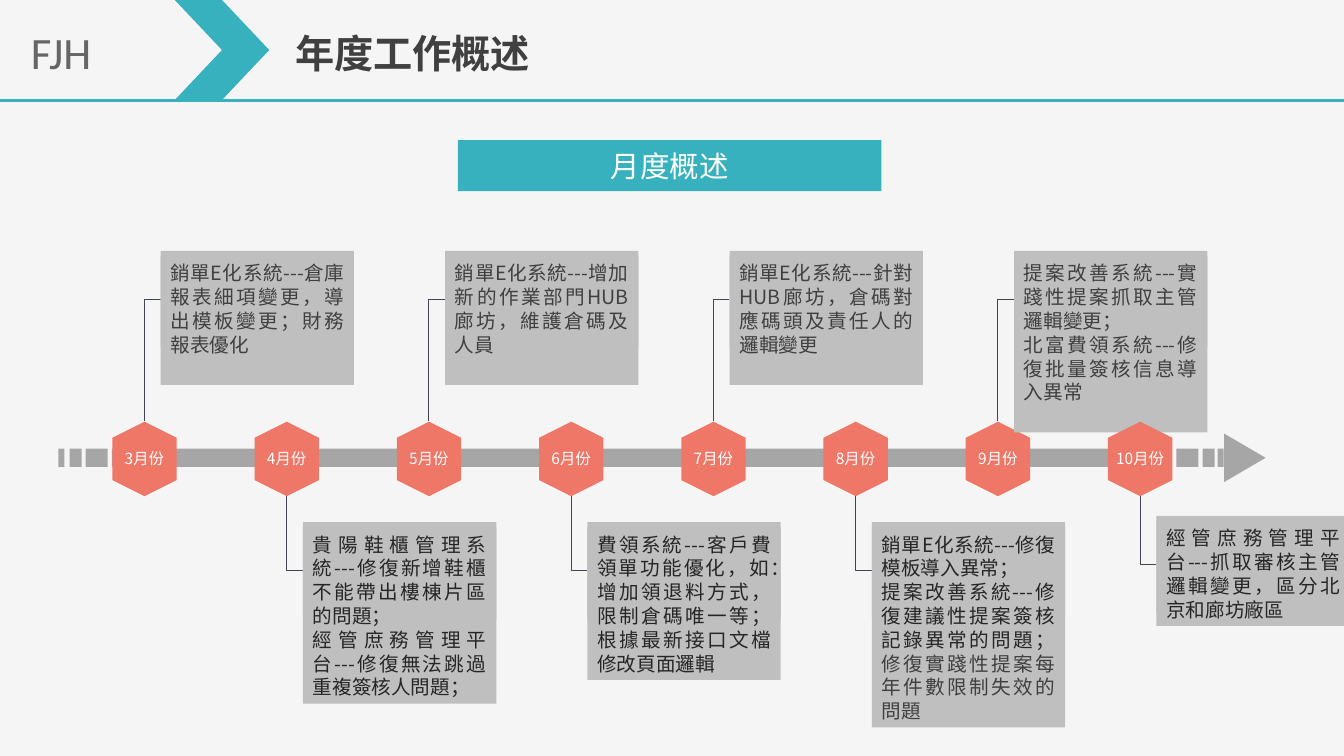
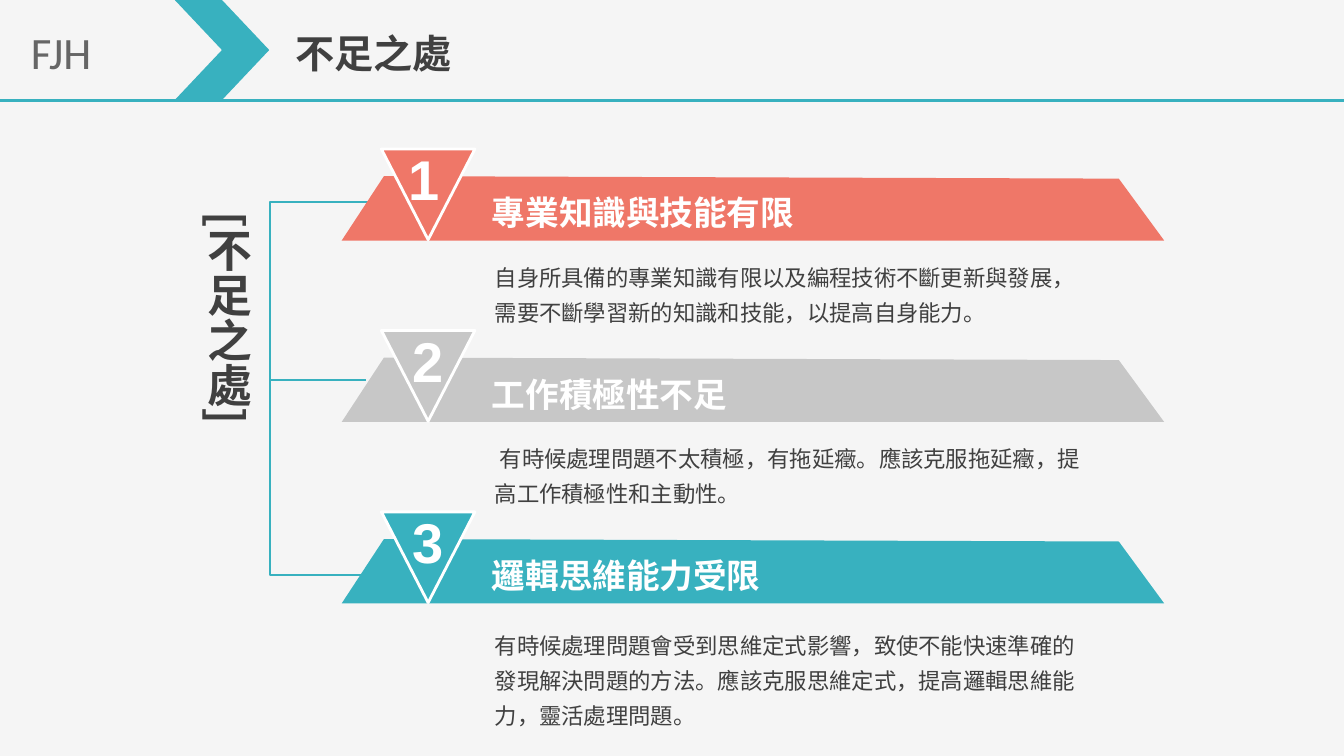
from dataclasses import dataclass

from pptx import Presentation
from pptx.dml.color import RGBColor
from pptx.enum.shapes import MSO_CONNECTOR as Connector, MSO_SHAPE as Shape
from pptx.enum.text import MSO_ANCHOR as Anchor, PP_ALIGN as Align
from pptx.oxml.ns import qn
from pptx.oxml.xmlchemy import OxmlElement
from pptx.util import Pt

# Content
COMPANY = "FJH"
OVERVIEW_TITLE = "年度工作概述"
OVERVIEW_BANNER = "月度概述"
# Each month: label, box height in text lines, paragraphs as tuples of runs
MONTHS = [
    ("3月份", 5, [("銷單E化系統---倉庫報表細項變更，導出模板變更；財務報表優化",)]),
    ("4月份", 7, [("貴陽鞋櫃管理系統---修復新增鞋櫃不能帶出樓棟片區的問題；",),
                ("經管庶務管理平台---修復無法跳過重複簽核人問題；",)]),
    ("5月份", 5, [("銷單E化系統---增加新的作業部門HUB廊坊，維護倉碼及人員",)]),
    ("6月份", 6, [("費領系統---客戶費領單功能優化，如：增加領退料方式，限制倉碼唯一等；根據最新接口文檔修改頁面邏輯",)]),
    ("7月份", 5, [("銷單E化系統---針對HUB廊坊，倉碼對應碼頭及責任人的邏輯變更",)]),
    ("8月份", 8, [("銷單E化系統---修復模板導入異常；",),
                ("提案改善系統---修復建議性提案簽核記錄異常的問題；", "修復實踐性提案每年件數限制失效的問題")]),
    ("9月份", 7, [("提案改善系統---實踐性提案抓取主管邏輯變更；",),
                ("北富費領系統---修復批量簽核信息導入異常",)]),
    ("10月份", 4, [("經管庶務管理平台---抓取審核主管邏輯變更，區分北京和廊坊廠區",)]),
]
RAISED_MONTH = "10月份"
AXIS_PARTS = [(41.8, 4.3), (49.7, 8.6), (61.2, 15.8), (79.9, 756.7),
              (840.2, 15.8), (859, 8.6), (869.8, 4.3)]

SHORTCOMINGS_TITLE = "不足之處"
SHORTCOMINGS_LABEL = "[不足之處]"
# Each item: number, left of the number, heading, body, gap from bar to body
SHORTCOMINGS = [
    ("1", 284.4, "專業知識與技能有限",
     "自身所具備的專業知識有限以及編程技術不斷更新與發展，需要不斷學習新的知識和技能，以提高自身能力。", 53.3),
    ("2", 287.3, "工作積極性不足",
     " 有時候處理問題不太積極，有拖延癥。應該克服拖延癥，提高工作積極性和主動性。", 53.3),
    ("3", 287.3, "邏輯思維能力受限",
     "有時候處理問題會受到思維定式影響，致使不能快速準確的發現解決問題的方法。應該克服思維定式，提高邏輯思維能力，靈活處理問題。", 56.9),
]


# Theme
@dataclass(frozen=True)
class Style:
    size: float
    color: str
    bold: bool = False
    font: str = "Noto Sans CJK SC"
    line: float = 0  # exact line height in points, 0 for single spacing


class Theme:
    background = "F5F5F5"
    teal = "38B1BF"
    coral = "EF7768"
    silver = "C7C7C7"
    axis = "A6A6A6"
    card = "BFBFBF"
    link = "414455"
    white = "FFFFFF"
    text = "404040"
    company = Style(32, "666666", font="Calibri")
    title = Style(28, text, True, line=36)
    banner = Style(21, white, line=26)
    month = Style(11, white, line=13.5)
    upper_note = Style(14, text, line=17)
    lower_note = Style(14, "262626", line=17)
    side_label = Style(32, text, True, line=40)
    heading = Style(24, white, True, line=30)
    body = Style(16, text, line=25)
    number = Style(40, white, True, "Arial")


# Drawing helpers
def apply(target, formats):
    for name, value in formats.items():
        setattr(target, name, value)


def rgb(color):
    return RGBColor.from_string(color)


def paint(shape, fill=None, line=None, width=0):
    shape.shadow.inherit = False
    if fill:
        shape.fill.solid()
        shape.fill.fore_color.rgb = rgb(fill)
    else:
        shape.fill.background()
    if line:
        shape.line.color.rgb = rgb(line)
        shape.line.width = Pt(width)
    else:
        shape.line.fill.background()
    return shape


def add_preset(slide, kind, box, fill, line=None, width=0):
    shape = slide.shapes.add_shape(kind, *map(Pt, box))
    return paint(shape, fill, line, width)


def add_outline(slide, points, closed, **colors):
    first, *rest = [(Pt(x), Pt(y)) for x, y in points]
    builder = slide.shapes.build_freeform(*first)
    builder.add_line_segments(rest, close=closed)
    return paint(builder.convert_to_shape(), **colors)


def add_line(slide, start, end, color, width, kind=Connector.STRAIGHT):
    connector = slide.shapes.add_connector(kind, *map(Pt, start + end))
    connector.line.color.rgb = rgb(color)
    connector.line.width = Pt(width)
    properties = connector._element.spPr
    properties.append(OxmlElement("a:effectLst"))
    if kind == Connector.ELBOW:
        properties.find(qn("a:prstGeom")).set("prst", "bentConnector2")
    return connector


def write(shape, paragraphs, style, align=Align.LEFT, anchor=Anchor.TOP, wrap=True):
    frame = shape.text_frame
    apply(frame, {"word_wrap": wrap, "vertical_anchor": anchor})
    for index, runs in enumerate(paragraphs):
        paragraph = frame.add_paragraph() if index else frame.paragraphs[0]
        paragraph.alignment = align
        if style.line:
            paragraph.line_spacing = Pt(style.line)
        for position, text in enumerate(runs):
            run = paragraph.add_run()
            run.text = text
            apply(run.font, {"size": Pt(style.size), "bold": style.bold, "name": style.font})
            # A run after the first goes back to the common text colour
            run.font.color.rgb = rgb(Theme.text if position else style.color)
            east_asian = OxmlElement("a:ea")
            east_asian.set("typeface", style.font)
            run.font._element.find(qn("a:latin")).addnext(east_asian)


def add_text(slide, box, text, style, **options):
    shape = slide.shapes.add_textbox(*map(Pt, box))
    write(shape, [(text,)], style, **options)
    return shape


def add_slide(presentation, title):
    slide = presentation.slides.add_slide(presentation.slide_layouts[6])
    slide.background.fill.solid()
    slide.background.fill.fore_color.rgb = rgb(Theme.background)
    add_line(slide, (0, 71.5), (960, 71.5), Theme.teal, 2.25)
    add_preset(slide, Shape.CHEVRON, (124.8, 0, 67.5, 71.5), Theme.teal)
    add_text(slide, (15, 14.4, 66, 46), COMPANY, Theme.company, wrap=False)
    add_text(slide, (203.8, 15.1, 321, 41), title, Theme.title)
    return slide


# Slide 1: monthly timeline
def add_month(slide, index, label, lines, paragraphs):
    center_x, center_y = 103.2 + 101.6 * index, 327.8
    upper = index % 2 == 0
    left = center_x + 11.5
    top = 179.3 if upper else 373
    if label == RAISED_MONTH:
        top -= 4.4
    tip = center_y + (-27 if upper else 26)

    link = add_line(slide, (left, top + 34.5), (center_x, tip), Theme.link, 0.75, Connector.ELBOW)
    hexagon = add_preset(slide, Shape.HEXAGON, (center_x - 26.6, center_y - 23, 53.2, 46), Theme.coral)
    hexagon.rotation = 90
    add_text(slide, (center_x - 28.5, 316.8, 57, 21), label, Theme.month, align=Align.CENTER)

    backing = add_preset(slide, Shape.RECTANGLE, (left, top, 138.2, 69), Theme.card)
    link.begin_connect(backing, 1)
    note = add_preset(slide, Shape.RECTANGLE, (left, top + 3.6, 138.2, 17 * lines + 7), Theme.card)
    write(note, paragraphs, Theme.upper_note if upper else Theme.lower_note, Align.JUSTIFY)


def build_overview(presentation):
    slide = add_slide(presentation, OVERVIEW_TITLE)
    for left, width in AXIS_PARTS:
        add_preset(slide, Shape.RECTANGLE, (left, 320.4, width, 13.2), Theme.axis)
    arrow = add_preset(slide, Shape.ISOSCELES_TRIANGLE, (871.9, 312.2, 34.6, 29.6), Theme.axis)
    arrow.rotation = 90
    for index, month in enumerate(MONTHS):
        add_month(slide, index, *month)
    banner = add_preset(slide, Shape.RECTANGLE, (327, 100, 302.6, 36.6), Theme.teal)
    write(banner, [(OVERVIEW_BANNER,)], Theme.banner, Align.CENTER, Anchor.MIDDLE)


# Slide 2: shortcomings
def build_shortcomings(presentation):
    slide = add_slide(presentation, SHORTCOMINGS_TITLE)
    add_outline(slide, [(267, 411), (193, 411), (193, 144), (270, 144)], False,
                line=Theme.teal, width=1.5)
    add_line(slide, (193, 271.4), (261.5, 271.4), Theme.teal, 1.5)
    label = add_text(slide, (134, 144, 53.3, 283), SHORTCOMINGS_LABEL, Theme.side_label,
                     align=Align.CENTER)
    label.text_frame._txBody.bodyPr.set("vert", "eaVert")

    colors = (Theme.coral, Theme.silver, Theme.teal)
    for index, (item, color) in enumerate(zip(SHORTCOMINGS, colors)):
        number, number_left, heading, body, body_gap = item
        top = 125.8 + 129.6 * index
        bar = [(274.3, top), (799.2, top + 1.8), (831.6, top + 46), (244.1, top + 46)]
        add_outline(slide, bar, True, fill=color)
        add_text(slide, (344.2, top + 6.7, 240, 36), heading, Theme.heading, wrap=False)
        triangle = add_preset(slide, Shape.ISOSCELES_TRIANGLE, (272.4, top - 19.3, 66.8, 64.8),
                              color, Theme.white, 2)
        triangle._element.spPr.get_or_add_xfrm().set("flipV", "1")
        add_text(slide, (number_left, top - 25.8, 36.7, 55.4), number, Theme.number, wrap=False)
        add_text(slide, (346.3, top + body_gap, 440, 58), body, Theme.body)


def main():
    presentation = Presentation()
    apply(presentation, {"slide_width": Pt(960), "slide_height": Pt(540)})
    build_overview(presentation)
    build_shortcomings(presentation)
    presentation.save("out.pptx")


if __name__ == "__main__":
    main()
